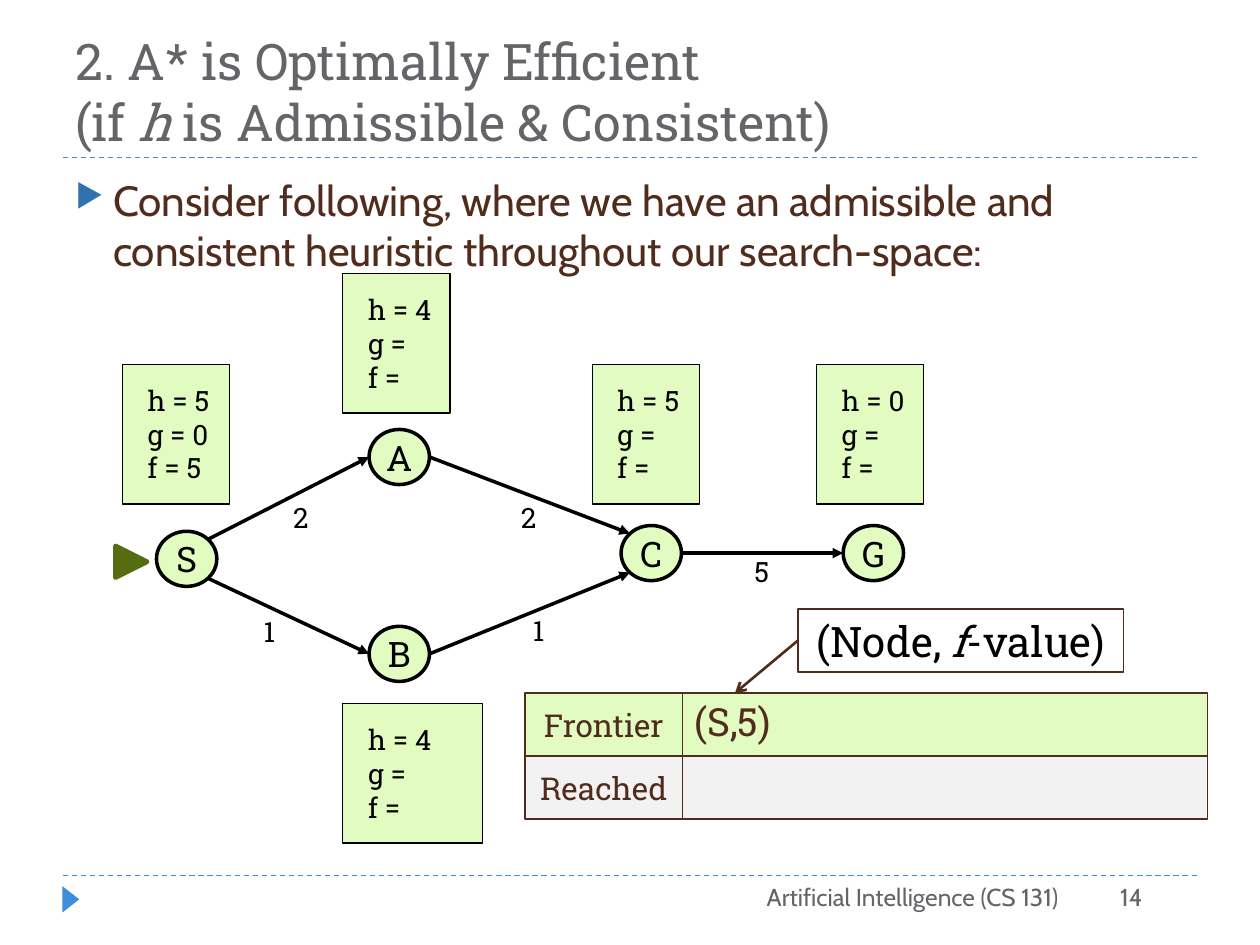
import math

import lxml.etree
import pptx
import pptx.dml.color
import pptx.enum.dml
import pptx.enum.shapes
import pptx.enum.text
import pptx.oxml.ns
import pptx.util

RGBColor = pptx.dml.color.RGBColor
Shape = pptx.enum.shapes.MSO_SHAPE
Align = pptx.enum.text.PP_ALIGN
Anchor = pptx.enum.text.MSO_ANCHOR
Pt = pptx.util.Pt
qn = pptx.oxml.ns.qn

BLACK = RGBColor(0x00, 0x00, 0x00)
WHITE = RGBColor(0xFF, 0xFF, 0xFF)
GREY = RGBColor(0x64, 0x64, 0x69)
PALE_GREY = RGBColor(0xF2, 0xF2, 0xF2)
BROWN = RGBColor(0x51, 0x2C, 0x1D)
LIME = RGBColor(0xE1, 0xFB, 0xC0)
OLIVE = RGBColor(0x56, 0x6C, 0x11)
BLUE = RGBColor(0x3E, 0x8E, 0xDE)
BULLET_BLUE = RGBColor(0x30, 0x71, 0xAE)

SERIF, SANS = "Roboto Slab", "Cabin"
COLUMNS, ROWS = 120, 90
NODE_WIDTH, NODE_HEIGHT = 5.75, 5.25
COST_WIDTH, COST_HEIGHT = 4.7, 4.45
ESTIMATE_HEIGHT = 13.3
INSETS = (0.1, 0.05, 0.1, 0.05)


class SlideBuilder:
    """Draws on one slide; places and sizes are in grid columns and rows."""

    def __init__(self, presentation):
        self.slide = presentation.slides.add_slide(presentation.slide_layouts[6])
        self.column = presentation.slide_width / COLUMNS
        self.row = presentation.slide_height / ROWS

    def scale(self, *lengths):
        return [round(length * (self.row if i % 2 else self.column))
                for i, length in enumerate(lengths)]

    def fill_frame(self, frame, lines, size, color, font=SERIF, align=Align.LEFT,
                   anchor=Anchor.MIDDLE, insets=INSETS, wrap=True):
        """Set the text; a line given as a tuple has every second piece in italics."""
        frame.word_wrap = wrap
        frame.vertical_anchor = anchor
        (frame.margin_left, frame.margin_top,
         frame.margin_right, frame.margin_bottom) = map(pptx.util.Inches, insets)
        for i, line in enumerate(lines):
            pieces = (line,) if isinstance(line, str) else line
            paragraph = frame.add_paragraph() if i else frame.paragraphs[0]
            paragraph.text = pieces[0]
            paragraph.alignment = align
            for j, piece in enumerate(pieces[1:], 1):
                run = paragraph.add_run()
                run.text = piece
                run.font.italic = j % 2 == 1
            for run in paragraph.runs:
                run.font.name = font
                run.font.size = Pt(size)
                run.font.color.rgb = color

    def text(self, box, lines, size, color, **style):
        frame = self.slide.shapes.add_textbox(*self.scale(*box)).text_frame
        self.fill_frame(frame, lines, size, color, **style)
        return frame

    def shape(self, kind, box, fill, outline=None, weight=0.75, rotation=0):
        shape = self.slide.shapes.add_shape(kind, *self.scale(*box))
        shape.shadow.inherit = False
        shape.rotation = rotation
        shape.fill.solid()
        shape.fill.fore_color.rgb = fill
        if outline is None:
            shape.line.fill.background()
        else:
            shape.line.color.rgb = outline
            shape.line.width = Pt(weight)
        return shape

    def line(self, start, end, color, weight, arrowhead=None, dashed=False):
        connector = self.slide.shapes.add_connector(
            pptx.enum.shapes.MSO_CONNECTOR.STRAIGHT, *self.scale(*start, *end))
        connector.line.color.rgb = color
        connector.line.width = Pt(weight)
        if dashed:
            connector.line.dash_style = pptx.enum.dml.MSO_LINE.DASH
        properties = connector._element.spPr
        if arrowhead:
            lxml.etree.SubElement(properties.find(qn("a:ln")),
                                  qn("a:tailEnd"), type=arrowhead)
        lxml.etree.SubElement(properties, qn("a:effectLst"))

    def bullet(self, paragraph, color):
        paragraph.space_before = paragraph.space_after = Pt(6)
        properties = paragraph._p.get_or_add_pPr()
        indent = pptx.util.Inches(0.3)
        properties.set("marL", str(indent))
        properties.set("indent", str(-indent))
        bullet_color = lxml.etree.SubElement(properties, qn("a:buClr"))
        lxml.etree.SubElement(bullet_color, qn("a:srgbClr"), val=str(color))
        lxml.etree.SubElement(properties, qn("a:buSzPct"), val="76000")
        lxml.etree.SubElement(properties, qn("a:buChar"), char="▶")

    def node(self, name, corner):
        circle = self.shape(Shape.OVAL, (*corner, NODE_WIDTH, NODE_HEIGHT),
                            LIME, BLACK, 2)
        self.fill_frame(circle.text_frame, [name], 20, BLACK,
                        align=Align.CENTER, insets=(0, 0, 0, 0))

    def estimate(self, corner, width, lines):
        card = self.shape(Shape.RECTANGLE, (*corner, width, ESTIMATE_HEIGHT),
                          LIME, BLACK)
        self.fill_frame(card.text_frame, lines, 16, BLACK,
                        insets=(0.2, 0.05, 0.1, 0.05), wrap=False)

    def cell(self, box, fill, pieces=None, size=18, color=BROWN,
             align=Align.CENTER, insets=INSETS):
        rectangle = self.shape(Shape.RECTANGLE, box, fill, BROWN)
        if pieces:
            self.fill_frame(rectangle.text_frame, [pieces], size, color,
                            align=align, insets=insets)


def rim_point(corner, degrees):
    """Point on a node's outline, counted clockwise from its right side."""
    angle = math.radians(degrees)
    return (corner[0] + NODE_WIDTH / 2 * (1 + math.cos(angle)),
            corner[1] + NODE_HEIGHT / 2 * (1 + math.sin(angle)))


def main():
    presentation = pptx.Presentation()
    presentation.slide_width = pptx.util.Inches(10)
    presentation.slide_height = pptx.util.Inches(7.5)
    page = SlideBuilder(presentation)

    for rule_row in (83.4, 15):
        page.line((6, rule_row), (114, rule_row), BLUE, 0.75, dashed=True)
    page.shape(Shape.ISOSCELES_TRIANGLE, (5.5, 84.85, 2.5, 1.6), BLUE, rotation=90)
    page.text((6, 2, 108, 13),
              [("2. A* is Optimally Efficient \v(if ", "h",
                " is Admissible & Consistent)")],
              28.8, GREY, anchor=Anchor.BOTTOM)
    body = page.text((6, 16, 108, 11),
                     ["Consider following, where we have an admissible and "
                      "consistent heuristic throughout our search-space:"],
                     24.1, BROWN, font=SANS, anchor=Anchor.TOP)
    page.bullet(body.paragraphs[0], BULLET_BLUE)
    for left, width, footer in ((46, 56, "Artificial Intelligence (CS 131)"),
                                (97, 13, "14")):
        page.text((left, 83.4, width, 4.8), [footer], 14, GREY, font=SANS,
                  align=Align.RIGHT, anchor=Anchor.TOP)

    nodes = {"S": (14.9, 50.6), "A": (35.15, 40.9), "B": (35.15, 59.65),
             "C": (59.15, 50.05), "G": (80.3, 50.05)}
    for name, corner in nodes.items():
        page.node(name, corner)

    # start, leaving angle, end, arriving angle, cost, corner of the cost label
    edges = (("C", 0, "G", 180, "5", (70.2, 52.2)),
             ("A", 0, "C", 225, "2", (48, 47.05)),
             ("B", 0, "C", 135, "1", (48.95, 57.85)),
             ("S", -45, "A", 180, "2", (26.3, 47.05)),
             ("S", 45, "B", 180, "1", (23.3, 57.95)))
    for start, leaving, end, arriving, cost, label in edges:
        page.line(rim_point(nodes[start], leaving),
                  rim_point(nodes[end], arriving), BLACK, 2, "triangle")
        page.text((*label, COST_WIDTH, COST_HEIGHT), [cost], 16, BLACK,
                  align=Align.CENTER, anchor=Anchor.TOP)

    unknown = ("g =", "f =")
    for corner, width, h, rest in (((32.65, 26.05), 10.2, 4, unknown),
                                   ((11.65, 34.7), 10.2, 5, ("g = 0", "f = 5")),
                                   ((32.65, 67), 13.3, 4, unknown),
                                   ((56.4, 34.7), 10.2, 5, unknown),
                                   ((77.75, 34.7), 10.2, 0, unknown)):
        page.estimate(corner, width, (f"h = {h}", *rest))

    for i, (heading, content, fill) in enumerate((("Frontier", "(S,5)", LIME),
                                                  ("Reached", None, PALE_GREY))):
        top = 66 + 6 * i
        page.cell((50, top, 15, 6), fill, heading)
        page.cell((65, top, 50, 6), fill, content, 22.2, align=Align.LEFT,
                  insets=(0.1, 0.05, 0.1, 0.1))

    page.cell((76, 58, 31, 6), WHITE, ("(Node, ", "f", "-value)"), 24, BLACK)
    page.line((76, 61), (70, 66), BROWN, 1.5, "arrow")
    page.shape(Shape.ISOSCELES_TRIANGLE, (11, 52, 3, 3), OLIVE, OLIVE, 2.75,
               rotation=90)

    presentation.save("out.pptx")


if __name__ == "__main__":
    main()
